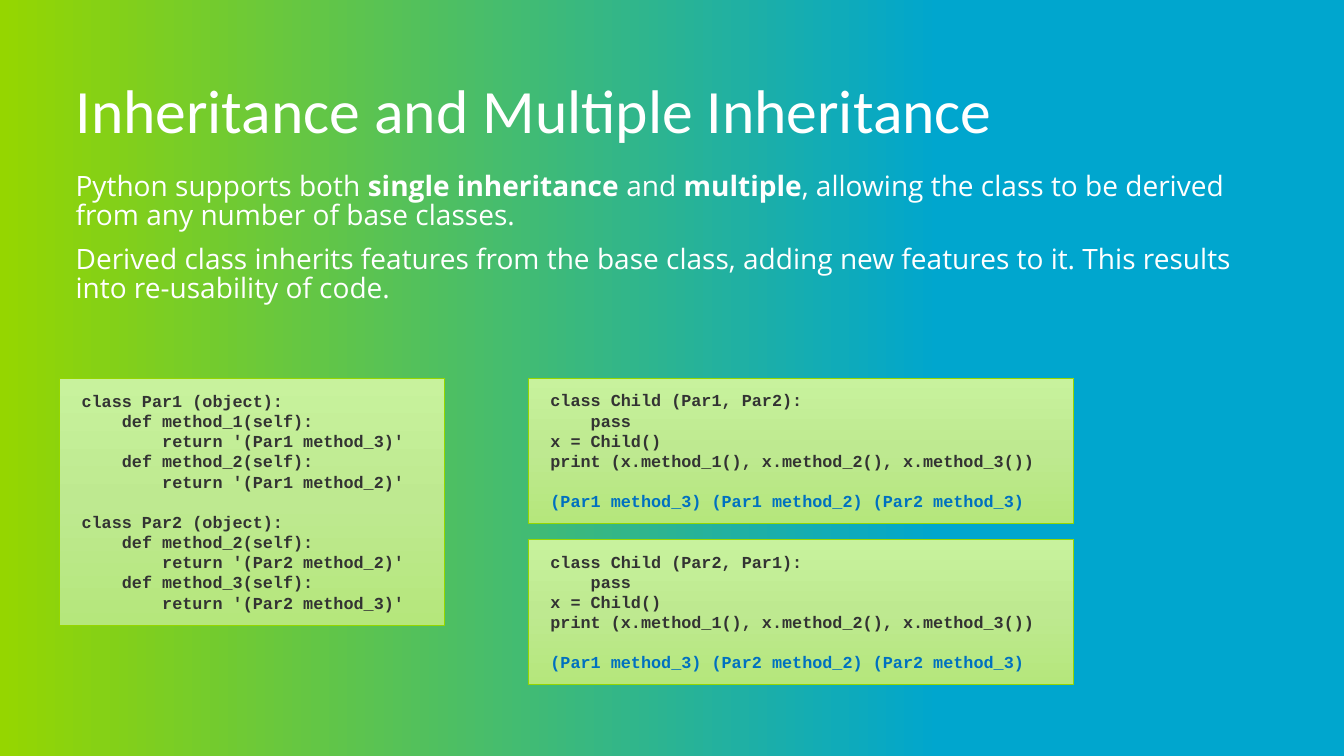
"""Build a slide on single and multiple inheritance in Python."""
from copy import deepcopy

from pptx import Presentation
from pptx import util as u
from pptx.dml.color import RGBColor
from pptx.enum import shapes, text
from pptx.oxml.ns import qn
from pptx.oxml.xmlchemy import OxmlElement

COLORS = {"white": "FFFFFF", "blue": "00A6CE", "green": "95D600", "code": "333333",
          "output": "0070C0", "top": "C8F29D", "middle": "BEE990", "bottom": "B5E77C"}
BACKGROUND = [(0, "blue"), (0.3, "blue"), (1, "green")]
PANEL = [(0, "top"), (0.5, "middle"), (1, "bottom")]

TITLE = "Inheritance and Multiple Inheritance"
BODY = [
    [("Python supports both ", False), ("single inheritance ", True), ("and ", False),
     ("multiple", True),
     (", allowing the class to be derived from any number of base classes.", False)],
    [("Derived class inherits features from the base class, adding new features to it. "
      "This results into re-usability of code.", False)],
]


def parent_class(name, methods):
    """Return the code lines of a parent class as (level, text, color)."""
    lines = [(0, f"class {name} (object):", "code")]
    for method, result in methods:
        lines += [(1, f"def method_{method}(self):", "code"),
                  (2, f"return '({name} method_{result})'", "code")]
    return lines


def child_class(parents, middle):
    """Return the blocks of a child class and its printed output."""
    return [
        [(0, f"class Child ({parents}):", "code"), (1, "pass", "code"),
         (0, "x = Child()", "code"),
         (0, "print (x.method_1(), x.method_2(), x.method_3())", "code")],
        [(0, f"(Par1 method_3) ({middle} method_2) (Par2 method_3)", "output")],
    ]


PANELS = [
    ((0.59, 3.75, 3.82, 2.45), [parent_class("Par1", [(1, 3), (2, 2)]),
                                parent_class("Par2", [(2, 2), (3, 3)])]),
    ((5.24, 3.75, 5.41, 1.44), child_class("Par1, Par2", "Par1")),
    ((5.24, 5.35, 5.41, 1.44), child_class("Par2, Par1", "Par2")),
]
CODE_LEFT, CODE_INDENT, CODE_LINE = 0.12, 0.4, 14.4


def color(name):
    """Return the named color."""
    return RGBColor.from_string(COLORS[name])


def set_gradient(fill, element, stops, angle):
    """Apply a three-stop linear gradient."""
    fill.gradient()
    fill.gradient_angle = angle
    stop_list = element.find(".//" + qn("a:gsLst"))
    stop_list.append(deepcopy(stop_list[0]))
    for stop, (position, name) in zip(fill.gradient_stops, stops):
        stop.position = position
        stop.color.rgb = color(name)


def place(shape, box):
    """Move and size a shape in inches."""
    shape.left, shape.top, shape.width, shape.height = map(u.Inches, box)


def set_frame(frame, insets, anchor):
    """Set insets, wrapping and anchor of a text frame."""
    left, top, right, bottom = map(u.Inches, insets)
    frame.margin_left, frame.margin_top = left, top
    frame.margin_right, frame.margin_bottom = right, bottom
    frame.word_wrap = True
    frame.auto_size = text.MSO_AUTO_SIZE.NONE
    frame.vertical_anchor = anchor


def add_run(paragraph, words, font, size, name, bold=False):
    """Add one formatted run."""
    run = paragraph.add_run()
    run.text = words
    run.font.name, run.font.size, run.font.bold = font, u.Pt(size), bold
    run.font.color.rgb = color(name)


def next_paragraph(frame, index, left=0):
    """Return the paragraph at index, left aligned, without a bullet."""
    paragraph = frame.add_paragraph() if index else frame.paragraphs[0]
    paragraph.alignment = text.PP_ALIGN.LEFT
    properties = paragraph._p.get_or_add_pPr()
    properties.set("marL", str(u.Inches(left)))
    properties.set("indent", "0")
    properties.append(OxmlElement("a:buNone"))
    return paragraph


def add_panel(slide, box, blocks):
    """Add a code panel whose blocks are one line apart."""
    panel = slide.shapes.add_shape(shapes.MSO_SHAPE.RECTANGLE, *map(u.Inches, box))
    panel.shadow.inherit = False
    set_gradient(panel.fill, panel.element, PANEL, 270)
    panel.line.color.rgb = color("green")
    panel.line.width = u.Pt(0.5)
    frame = panel.text_frame
    set_frame(frame, (0.1, 0.11, 0.1, 0.11), text.MSO_ANCHOR.MIDDLE)
    index = 0
    for block_number, block in enumerate(blocks):
        for line_number, (level, words, name) in enumerate(block):
            paragraph = next_paragraph(frame, index, CODE_LEFT + level * CODE_INDENT)
            paragraph.line_spacing = u.Pt(CODE_LINE)
            starts_block = block_number > 0 and line_number == 0
            paragraph.space_before = u.Pt(CODE_LINE if starts_block else 0)
            add_run(paragraph, words, "Courier New", 12, name, True)
            index += 1


def main():
    """Create and save the presentation."""
    presentation = Presentation()
    presentation.slide_width = u.Inches(13.33)
    presentation.slide_height = u.Inches(7.5)
    slide = presentation.slides.add_slide(presentation.slide_layouts[1])
    set_gradient(slide.background.fill, slide.element, BACKGROUND, 180)

    title, body = slide.placeholders
    place(title, (0.75, 0.75, 11.83, 0.75))
    set_frame(title.text_frame, (0, 0.05, 0.1, 0.05), text.MSO_ANCHOR.MIDDLE)
    heading = next_paragraph(title.text_frame, 0)
    heading.line_spacing = 0.9
    add_run(heading, TITLE, "Calibri", 44, "white")

    place(body, (0.75, 1.66, 11.83, 4.34))
    set_frame(body.text_frame, (0, 0.05, 0.1, 0.05), text.MSO_ANCHOR.TOP)
    for index, runs in enumerate(BODY):
        paragraph = next_paragraph(body.text_frame, index)
        paragraph.line_spacing = 0.88
        paragraph.space_before = u.Pt(10)
        for words, bold in runs:
            add_run(paragraph, words, "Open Sans", 20, "white", bold)

    for box, blocks in PANELS:
        add_panel(slide, box, blocks)
    presentation.save("out.pptx")


if __name__ == "__main__":
    main()
